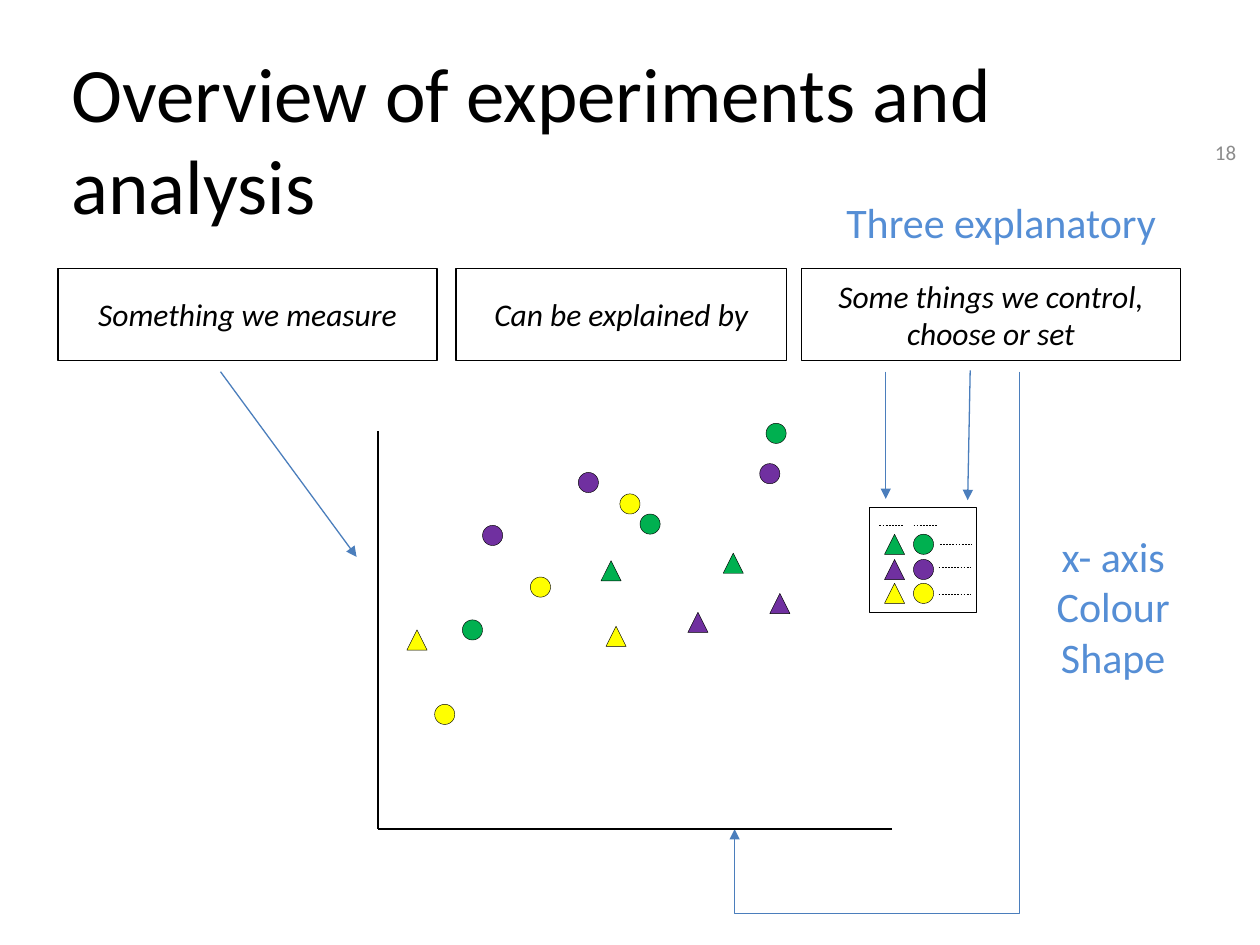
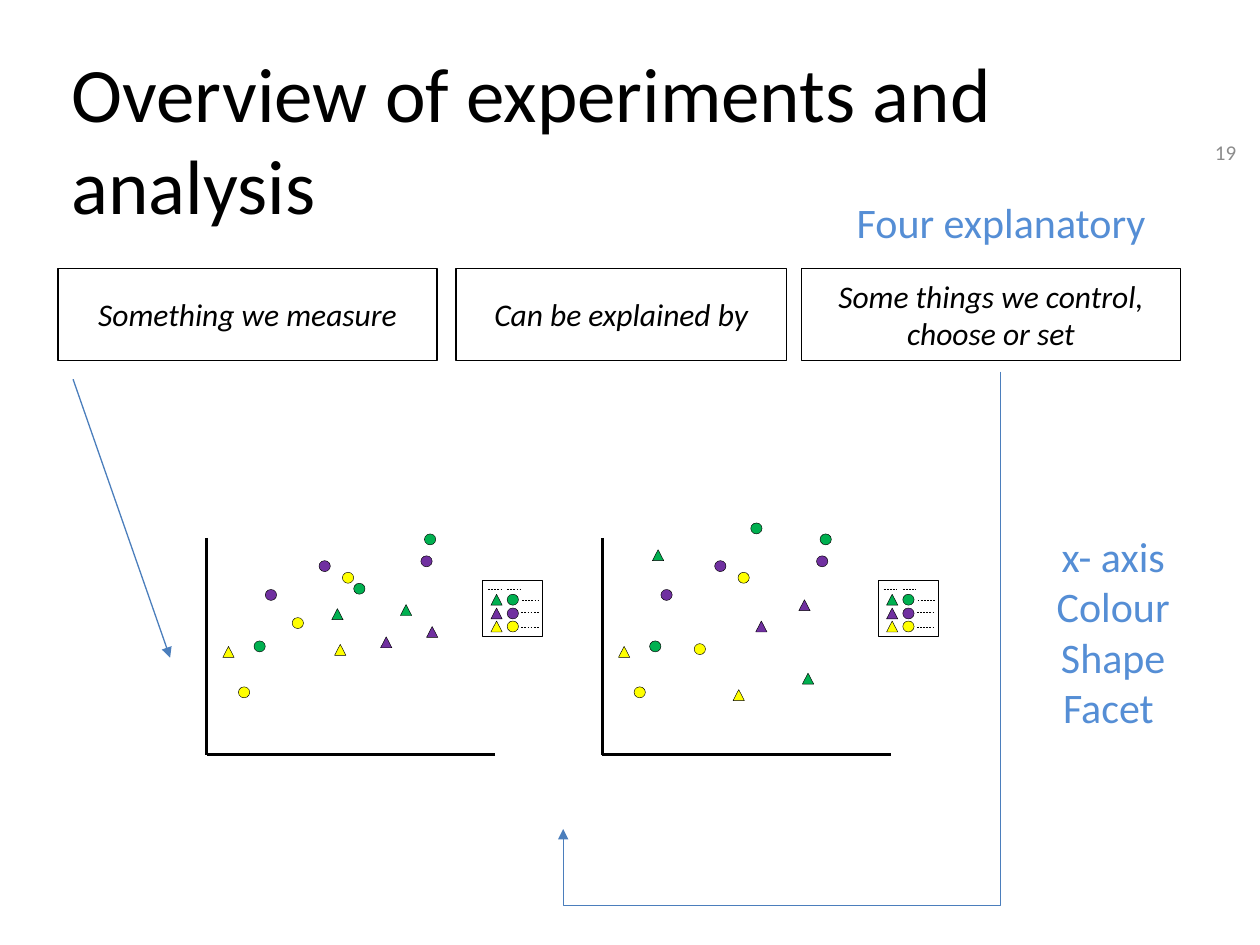
from dataclasses import dataclass, replace
from typing import Any

from lxml.etree import SubElement
from pptx import Presentation
from pptx.dml.color import RGBColor
from pptx.enum.dml import MSO_LINE
from pptx.enum.shapes import MSO_CONNECTOR, MSO_SHAPE
from pptx.enum.text import MSO_ANCHOR, PP_ALIGN
from pptx.oxml.ns import qn
from pptx.util import Inches, Pt

BLACK = RGBColor(0x00, 0x00, 0x00)
WHITE = RGBColor(0xFF, 0xFF, 0xFF)
GREY = RGBColor(0x8C, 0x8C, 0x8C)
LABEL_BLUE = RGBColor(0x55, 0x8E, 0xD5)
ARROW_BLUE = RGBColor(0x4B, 0x7E, 0xBC)
PURPLE = RGBColor(0x70, 0x30, 0xA0)
YELLOW = RGBColor(0xFF, 0xFF, 0x00)
GREEN = RGBColor(0x00, 0xB0, 0x50)
CIRCLE = MSO_SHAPE.OVAL
TRIANGLE = MSO_SHAPE.ISOSCELES_TRIANGLE

FONT = "Calibri"
TITLE = "Overview of experiments and analysis"
AXIS_WIDTH = 4.08
AXIS_HEIGHT = 3.16
MARKER_SIZE = 0.16


@dataclass(frozen=True)
class Box:
    left: float
    top: float
    width: float
    height: float

    def inches(self) -> tuple[Inches, ...]:
        return tuple(Inches(n) for n in (self.left, self.top, self.width, self.height))


@dataclass(frozen=True)
class TextStyle:
    size: int
    color: RGBColor
    alignment: PP_ALIGN = PP_ALIGN.CENTER
    anchor: MSO_ANCHOR = MSO_ANCHOR.TOP
    italic: bool = False
    vertical_inset: float = 0.05


@dataclass(frozen=True)
class Stroke:
    color: RGBColor
    width: float
    dashed: bool = False
    arrow: bool = False


@dataclass(frozen=True)
class Marker:
    kind: MSO_SHAPE
    color: RGBColor
    x: float
    y: float


@dataclass(frozen=True)
class Panel:
    """Places plot coordinates, measured from the top of the y axis, on a slide."""
    left: float
    top: float
    x_scale: float = 1
    y_scale: float = 1

    def box(self, x: float, y: float, width: float, height: float) -> Box:
        return Box(self.left + x * self.x_scale, self.top + y * self.y_scale,
                   width * self.x_scale, height * self.y_scale)


TITLE_STYLE = TextStyle(44, BLACK, PP_ALIGN.LEFT, vertical_inset=0.1)
NUMBER_STYLE = TextStyle(12, GREY, PP_ALIGN.RIGHT, MSO_ANCHOR.MIDDLE, vertical_inset=0.1)
STEP_STYLE = TextStyle(18, BLACK, anchor=MSO_ANCHOR.MIDDLE, italic=True)
LABEL_STYLE = TextStyle(24, LABEL_BLUE)

OUTLINE = Stroke(BLACK, 0.75)
THIN = Stroke(BLACK, 0.25)
AXIS = Stroke(BLACK, 1.5)
DASH = Stroke(BLACK, 0.25, dashed=True)
ARROW = Stroke(ARROW_BLUE, 0.75, arrow=True)

STEPS = {
    "Something we measure": Box(0.46, 2.13, 3.01, 0.73),
    "Can be explained by": Box(3.62, 2.13, 2.62, 0.73),
    "Some things we control, choose or set": Box(6.36, 2.13, 3.01, 0.73),
}

MARKERS = [
    Marker(CIRCLE, PURPLE, 0.83, 0.75),
    Marker(CIRCLE, YELLOW, 1.21, 1.16),
    Marker(CIRCLE, PURPLE, 1.59, 0.33),
    Marker(CIRCLE, PURPLE, 3.03, 0.26),
    Marker(CIRCLE, YELLOW, 1.92, 0.5),
    Marker(CIRCLE, YELLOW, 0.45, 2.17),
    Marker(CIRCLE, GREEN, 3.08, -0.06),
    Marker(CIRCLE, GREEN, 2.08, 0.66),
    Marker(CIRCLE, GREEN, 0.67, 1.5),
    Marker(TRIANGLE, PURPLE, 2.46, 1.44),
    Marker(TRIANGLE, YELLOW, 1.81, 1.55),
    Marker(TRIANGLE, GREEN, 2.74, 0.97),
    Marker(TRIANGLE, PURPLE, 3.11, 1.29),
    Marker(TRIANGLE, YELLOW, 0.23, 1.58),
    Marker(TRIANGLE, GREEN, 1.77, 1.03),
]
SECOND_FACET_MOVES = {
    1: (1.3, 1.54), 7: (2.1, -0.22), 9: (2.17, 1.21), 10: (1.85, 2.21),
    11: (2.83, 1.97), 12: (2.78, 0.9), 14: (0.71, 0.17),
}
SECOND_FACET_MARKERS = [
    replace(marker, x=SECOND_FACET_MOVES[index][0], y=SECOND_FACET_MOVES[index][1])
    if index in SECOND_FACET_MOVES else marker
    for index, marker in enumerate(MARKERS)
]

LEGEND_FRAME = (3.9, 0.61, 0.85, 0.83)
LEGEND_COLUMNS = {TRIANGLE: 4.02, CIRCLE: 4.25}
LEGEND_ROWS = {GREEN: 0.82, PURPLE: 1.02, YELLOW: 1.21}
LEGEND_MARKERS = [
    Marker(kind, color, x, y)
    for kind, x in LEGEND_COLUMNS.items() for color, y in LEGEND_ROWS.items()
]
LEGEND_DASHES = [
    (3.98, 0.75, 0.19), (4.25, 0.75, 0.19),
    (4.46, 0.9, 0.25), (4.45, 1.08, 0.25), (4.45, 1.3, 0.25),
]


def apply_stroke(line: Any, stroke: Stroke) -> None:
    line.color.rgb = stroke.color
    line.width = Pt(stroke.width)
    if stroke.dashed:
        line.dash_style = MSO_LINE.DASH


def write_text(shape: Any, lines: list[str], style: TextStyle) -> None:
    frame = shape.text_frame
    frame.word_wrap = True
    frame.vertical_anchor = style.anchor
    frame.margin_left = frame.margin_right = Inches(0.1)
    frame.margin_top = frame.margin_bottom = Inches(style.vertical_inset)
    for index, text in enumerate(lines):
        paragraph = frame.add_paragraph() if index else frame.paragraphs[0]
        paragraph.alignment = style.alignment
        run = paragraph.add_run()
        run.text = text
        run.font.name = FONT
        run.font.size = Pt(style.size)
        run.font.italic = style.italic
        run.font.color.rgb = style.color


def add_text(shapes: Any, box: Box, lines: list[str], style: TextStyle) -> None:
    write_text(shapes.add_textbox(*box.inches()), lines, style)


def add_outlined(shapes: Any, kind: MSO_SHAPE, box: Box, fill: RGBColor | None,
                 stroke: Stroke) -> Any:
    shape = shapes.add_shape(kind, *box.inches())
    shape.shadow.inherit = False
    if fill is None:
        shape.fill.background()
    else:
        shape.fill.solid()
        shape.fill.fore_color.rgb = fill
    apply_stroke(shape.line, stroke)
    return shape


def add_line(shapes: Any, start: tuple[float, float], end: tuple[float, float],
             stroke: Stroke, kind: MSO_CONNECTOR = MSO_CONNECTOR.STRAIGHT) -> Any:
    connector = shapes.add_connector(kind, *(Inches(n) for n in (*start, *end)))
    apply_stroke(connector.line, stroke)
    properties = connector._element.spPr
    if stroke.arrow:
        SubElement(properties.find(qn("a:ln")), qn("a:tailEnd"), type="triangle")
    SubElement(properties, qn("a:effectLst"))
    return connector


def add_axis_arrow(shapes: Any, start: tuple[float, float], end: tuple[float, float],
                   bottom: float) -> None:
    """Runs down from start to bottom, across, and up to end."""
    drop = end[1] - start[1]
    span = start[0] - end[0]
    center_x = (start[0] + end[0]) / 2
    center_y = (start[1] + end[1]) / 2
    connector = add_line(shapes, (center_x - drop / 2, center_y - span / 2),
                         (center_x + drop / 2, center_y + span / 2),
                         ARROW, MSO_CONNECTOR.ELBOW)
    properties = connector._element.spPr
    properties.find(qn("a:xfrm")).set("rot", str(90 * 60000))
    adjustments = properties.find(qn("a:prstGeom")).find(qn("a:avLst"))
    bend = round((bottom - start[1]) / drop * 100000)
    SubElement(adjustments, qn("a:gd"), name="adj1", fmla=f"val {bend}")


def add_scatter(shapes: Any, panel: Panel, markers: list[Marker]) -> None:
    axes = panel.box(0, 0, AXIS_WIDTH, AXIS_HEIGHT)
    corner = (axes.left, axes.top + axes.height)
    add_line(shapes, (axes.left, axes.top), corner, AXIS)
    add_line(shapes, (axes.left + axes.width, corner[1]), corner, AXIS)
    for marker in markers + LEGEND_MARKERS:
        box = panel.box(marker.x, marker.y, MARKER_SIZE, MARKER_SIZE)
        add_outlined(shapes, marker.kind, box, marker.color, THIN)
    add_outlined(shapes, MSO_SHAPE.RECTANGLE, panel.box(*LEGEND_FRAME), None, THIN)
    for x, y, length in LEGEND_DASHES:
        dash = panel.box(x, y, length, 0)
        add_line(shapes, (dash.left, dash.top), (dash.left + dash.width, dash.top), DASH)


def add_overview_slide(presentation: Any, number: int, heading: str,
                       variables: list[str]) -> Any:
    slide = presentation.slides.add_slide(presentation.slide_layouts[6])
    shapes = slide.shapes
    add_text(shapes, Box(0.47, 0.26, 9.32, 0.63), [TITLE], TITLE_STYLE)
    add_text(shapes, Box(9.31, 0.99, 0.6, 0.43), [str(number)], NUMBER_STYLE)
    for text, box in STEPS.items():
        step = add_outlined(shapes, MSO_SHAPE.RECTANGLE, box, WHITE, OUTLINE)
        write_text(step, [text], STEP_STYLE)
    add_text(shapes, Box(6.39, 1.51, 3.11, 0.5), [heading], LABEL_STYLE)
    variables_box = Box(8.11, 4.16, 1.45, 0.52 + 0.4 * (len(variables) - 1))
    add_text(shapes, variables_box, variables, LABEL_STYLE)
    return shapes


def build_three_variables(presentation: Any) -> None:
    shapes = add_overview_slide(presentation, 18, "Three explanatory",
                                ["x- axis", "Colour", "Shape"])
    add_axis_arrow(shapes, (8.09, 2.95), (5.83, 6.58), 7.25)
    add_line(shapes, (1.75, 2.95), (2.83, 4.42), ARROW)
    add_scatter(shapes, Panel(3, 3.42), MARKERS)
    add_line(shapes, (7.7, 2.94), (7.68, 3.97), ARROW)
    add_line(shapes, (7.03, 2.95), (7.03, 3.96), ARROW)


def build_four_variables(presentation: Any) -> None:
    shapes = add_overview_slide(presentation, 19, "Four explanatory",
                                ["x- axis", "Colour", "Shape", "Facet "])
    add_axis_arrow(shapes, (7.94, 2.95), (4.47, 6.58), 7.19)
    add_line(shapes, (0.58, 3.01), (1.35, 5.22), ARROW)
    first_facet = Panel(1.64, 4.27, 2.29 / AXIS_WIDTH, 1.72 / AXIS_HEIGHT)
    add_scatter(shapes.add_group_shape().shapes, first_facet, MARKERS)
    add_scatter(shapes, replace(first_facet, left=4.78), SECOND_FACET_MARKERS)


def main() -> None:
    presentation = Presentation()
    presentation.slide_width = Inches(10)
    presentation.slide_height = Inches(7.5)
    build_three_variables(presentation)
    build_four_variables(presentation)
    presentation.save("out.pptx")


if __name__ == "__main__":
    main()
